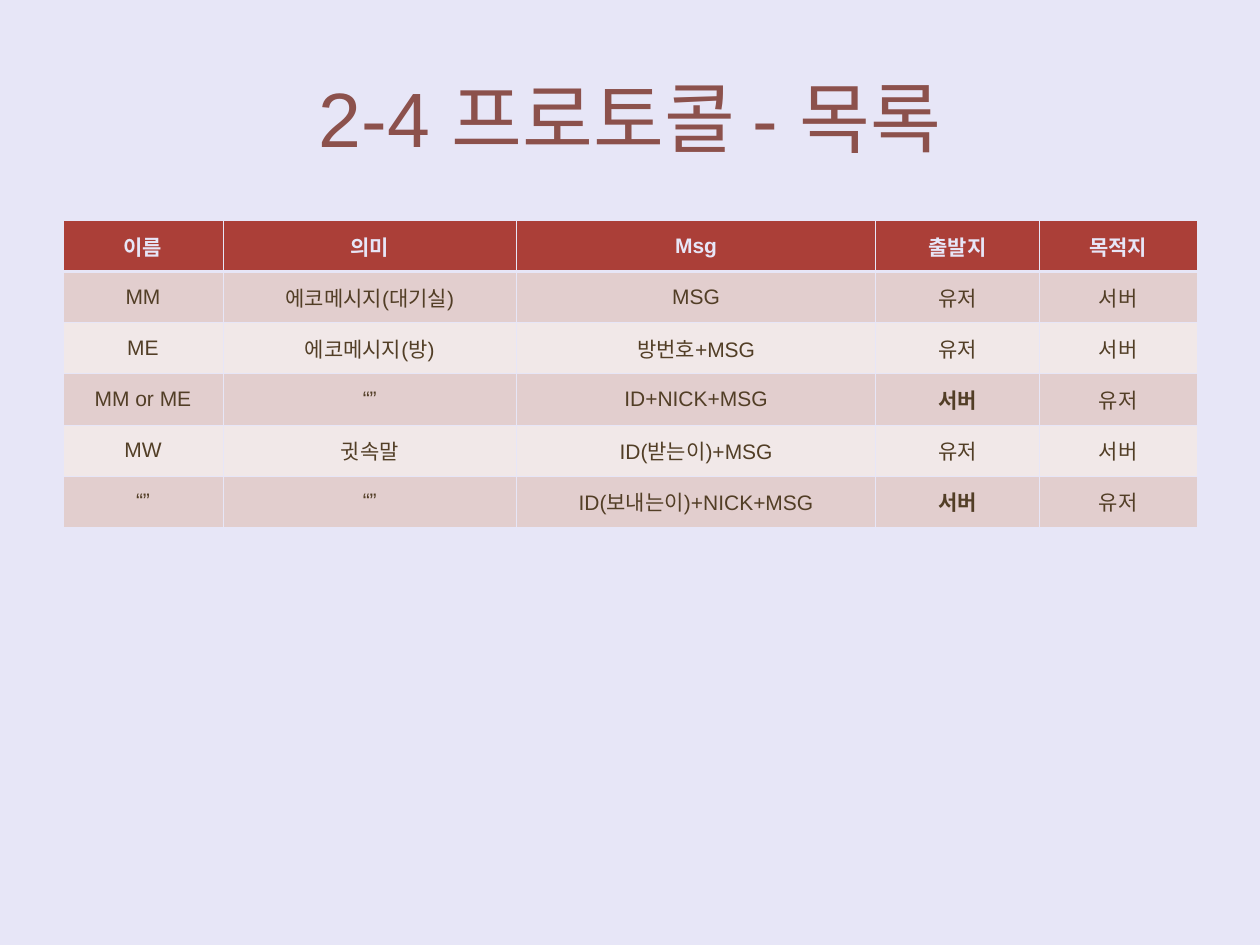
from lxml.etree import SubElement
from pptx import Presentation
from pptx.dml.color import RGBColor
from pptx.enum.text import MSO_ANCHOR as Anchor, PP_ALIGN as Align
from pptx.oxml.ns import qn
from pptx.util import Pt

FONT = "Arial"
LAVENDER = "E7E6F7"
TITLE_BROWN = "8C514C"
TEXT_BROWN = "523E26"
HEADER_RED = "AB3F38"
BANDS = ("F1E8E8", "E2CECE")
THIN, THICK = 0.45, 1.47
COL_WIDTHS = (91.44, 167.76, 205.2, 93.6, 90)
ROW_HEIGHT = 29.2
SOURCE_COL = 3
ROWS = (
    ("이름", "의미", "Msg", "출발지", "목적지"),
    ("MM", "에코메시지(대기실)", "MSG", "유저", "서버"),
    ("ME", "에코메시지(방)", "방번호+MSG", "유저", "서버"),
    ("MM or ME", "“”", "ID+NICK+MSG", "서버", "유저"),
    ("MW", "귓속말", "ID(받는이)+MSG", "유저", "서버"),
    ("“”", "“”", "ID(보내는이)+NICK+MSG", "서버", "유저"),
)


def paint(fill, color):
    fill.solid()
    fill.fore_color.rgb = RGBColor.from_string(color)


def write(tf, text, size, color, bold=False):
    p = tf.paragraphs[0]
    p.text = text
    p.alignment = Align.CENTER
    p.font.name = FONT
    p.font.size = Pt(size)
    p.font.bold = bold
    p.font.color.rgb = RGBColor.from_string(color)


def add_title(s, text):
    sp = s.shapes.title
    sp.left, sp.top, sp.width, sp.height = Pt(36), Pt(21.6), Pt(648), Pt(90)
    sp.text_frame.vertical_anchor = Anchor.MIDDLE
    write(sp.text_frame, text, 44, TITLE_BROWN)


def set_borders(cell, color, **widths):
    tc_pr = cell._tc.get_or_add_tcPr()
    for side in "LRTB":
        ln = SubElement(tc_pr, qn(f"a:ln{side}"), w=str(Pt(widths.get(side, THIN))))
        solid = SubElement(ln, qn("a:solidFill"))
        SubElement(solid, qn("a:srgbClr"), val=color)


def format_cell(cell, text, row, col):
    header = row == 0
    bold = header or (col == SOURCE_COL and text == "서버")
    cell.vertical_anchor = Anchor.MIDDLE
    cell.margin_left = cell.margin_right = Pt(7.2)
    cell.margin_top = cell.margin_bottom = Pt(3.6)
    write(cell.text_frame, text, 12, LAVENDER if header else TEXT_BROWN, bold)
    set_borders(cell, LAVENDER, T=THICK if row == 1 else THIN,
                B=THICK if header else THIN)
    paint(cell.fill, HEADER_RED if header else BANDS[row % 2])


def add_protocol_table(s):
    table = s.shapes.add_table(len(ROWS), len(COL_WIDTHS), Pt(36), Pt(126),
                               Pt(sum(COL_WIDTHS)), Pt(ROW_HEIGHT * len(ROWS))).table
    for column, width in zip(table.columns, COL_WIDTHS):
        column.width = Pt(width)
    for row, texts in enumerate(ROWS):
        table.rows[row].height = Pt(ROW_HEIGHT)
        for col, text in enumerate(texts):
            format_cell(table.cell(row, col), text, row, col)


def main():
    prs = Presentation()
    prs.slide_width, prs.slide_height = Pt(720), Pt(540)
    s = prs.slides.add_slide(prs.slide_layouts[5])
    paint(s.background.fill, LAVENDER)
    add_title(s, "2-4 프로토콜 - 목록")
    add_protocol_table(s)
    prs.save("out.pptx")


if __name__ == "__main__":
    main()
